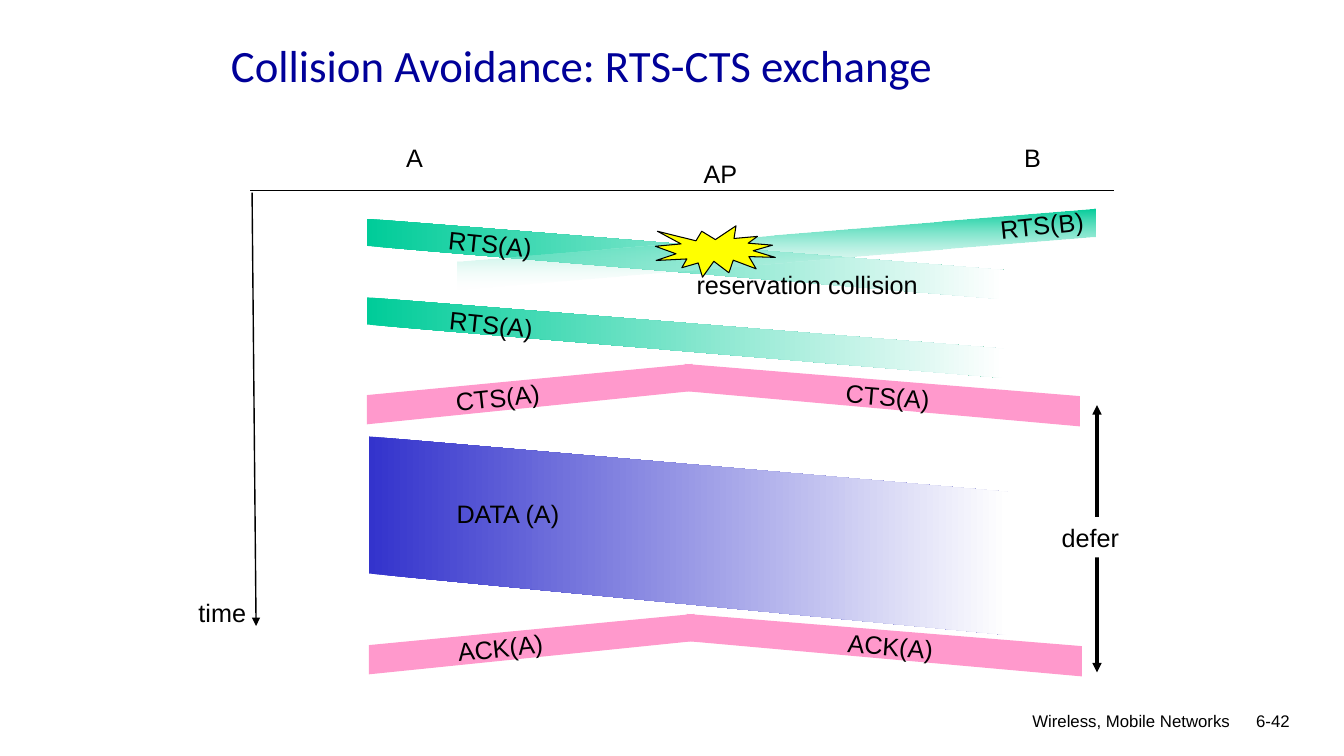
from pptx import Presentation
from pptx.dml.color import RGBColor
from pptx.enum.shapes import MSO_CONNECTOR, MSO_SHAPE
from pptx.enum.text import MSO_ANCHOR, PP_ALIGN
from pptx.oxml.ns import qn
from pptx.util import Inches, Pt
from lxml import etree

LEFT, RIGHT = PP_ALIGN.LEFT, PP_ALIGN.RIGHT
MIDDLE, TOP = MSO_ANCHOR.MIDDLE, MSO_ANCHOR.TOP
STRAIGHT = MSO_CONNECTOR.STRAIGHT
BURST, RECT = MSO_SHAPE.EXPLOSION1, MSO_SHAPE.RECTANGLE

COLORS = {
    "title": "000099", "ink": "000000", "paper": "FFFFFF", "rts": "00CC99",
    "reply": "FF99CC", "data": "3333CC", "burst": "FFFF00",
}


def rgb(name):
    return RGBColor.from_string(COLORS[name])


class Diagram:
    """Holds the text style and the slide being drawn."""
    font, size = "Arial", 18

    def __init__(self, slide):
        self.s = slide

    def set_text(self, shape, text, size=None, font=None, color="ink",
                 align=LEFT, anchor=TOP, wrap=False):
        tf = shape.text_frame
        tf.word_wrap = wrap
        tf.vertical_anchor = anchor
        p = tf.paragraphs[0]
        p.text = text
        p.alignment = align
        p.font.name = font or self.font
        p.font.size = Pt(size or self.size)
        p.font.color.rgb = rgb(color)

    def title(self, text, x, y, w, h):
        sp = self.s.shapes.title
        sp.left, sp.top, sp.width, sp.height = map(Inches, (x, y, w, h))
        self.set_text(sp, text, 32, "Calibri", "title", anchor=MIDDLE, wrap=True)

    def label(self, text, x, y, w, h=0.4, rot=0, **style):
        sp = self.s.shapes.add_textbox(*map(Inches, (x, y, w, h)))
        sp.rotation = rot
        self.set_text(sp, text, **style)

    def shape(self, kind, x, y, w, h, fill, line=None):
        sp = self.s.shapes.add_shape(kind, *map(Inches, (x, y, w, h)))
        sp.shadow.inherit = False
        sp.fill.solid()
        sp.fill.fore_color.rgb = rgb(fill)
        if line:
            sp.line.color.rgb = rgb("ink")
            sp.line.width = Pt(line)
        else:
            sp.line.fill.background()
        return sp

    def band(self, points, fill, angle=None, end_alpha=None):
        """Polygon, solid or (with an angle) fading to white."""
        start, *rest = [tuple(map(Inches, pt)) for pt in points]
        builder = self.s.shapes.build_freeform(*start)
        builder.add_line_segments(rest, close=True)
        sp = builder.convert_to_shape()
        sp.shadow.inherit = False
        sp.line.fill.background()
        if angle is None:
            sp.fill.solid()
            sp.fill.fore_color.rgb = rgb(fill)
            return
        sp.fill.gradient()
        sp.fill.gradient_angle = angle
        for stop, name, pos in zip(sp.fill.gradient_stops, (fill, "paper"), (0, 1)):
            stop.color.rgb = rgb(name)
            stop.position = pos
        if end_alpha is not None:
            end = list(sp._element.spPr.iter(qn("a:srgbClr")))[-1]
            etree.SubElement(end, qn("a:alpha"), val=str(end_alpha * 1000))

    def line(self, x1, y1, x2, y2, width, ends=()):
        c = self.s.shapes.add_connector(STRAIGHT, *map(Inches, (x1, y1, x2, y2)))
        c.line.color.rgb = rgb("ink")
        c.line.width = Pt(width)
        ln = c._element.spPr.find(qn("a:ln"))
        for end in ends:
            etree.SubElement(ln, qn(f"a:{end}"), type="triangle")
        etree.SubElement(c._element.spPr, qn("a:effectLst"))

    def rts_a(self, y):
        self.band([(3.64, y), (9.96, y + 0.51), (9.96, y + 0.8), (3.64, y + 0.27)],
                  "rts", angle=0)

    def reply(self, name, x, y):
        """Frame sent by the AP towards both stations; x is A's edge."""
        self.band([(x + 3.15, y), (x + 7.07, y + 0.32), (x + 7.07, y + 0.62),
                   (x + 3.15, y + 0.27)], "reply")
        self.band([(x + 3.23, y), (x, y + 0.31), (x, y + 0.6), (x + 3.23, y + 0.27)],
                  "reply")
        self.label(name, x + 0.78, y + 0.13, 1.06, rot=353.7)
        self.label(name, x + 4.65, y + 0.12, 1.06, rot=4.6)


def main():
    prs = Presentation()
    prs.slide_width, prs.slide_height = Inches(13.33), Inches(7.5)
    s = prs.slides.add_slide(prs.slide_layouts[5])
    d = Diagram(s)

    # Title and footer
    d.title("Collision Avoidance: RTS-CTS exchange", 2.19, 0.13, 8.5, 1.03)
    d.label("Wireless, Mobile Networks", 6.67, 7, 5.63, 0.35, size=12, align=RIGHT, wrap=True)
    d.label("6-42", 11.9, 7, 0.99, 0.35, size=12, align=RIGHT, wrap=True)

    # Stations and time axis
    d.label("AP", 6.88, 1.52, 0.54)
    d.label("A", 3.93, 1.36, 0.38)
    d.label("B", 10.06, 1.36, 0.37)
    d.line(2.5, 1.91, 2.54, 6.21, 1, ["tailEnd"])
    d.label("time", 1.87, 5.88, 0.68)
    d.line(2.48, 1.89, 11.05, 1.89, 0.75)

    # Colliding reservations
    d.rts_a(2.17)
    d.band([(10.86, 2.07), (4.54, 2.59), (4.54, 2.87), (10.86, 2.35)],
           "rts", angle=270, end_alpha=6)
    d.label("RTS(A)", 4.35, 2.22, 1.07, rot=5.9)
    d.label("RTS(B)", 9.82, 2.03, 1.04, rot=354.1)

    # Successful reservation
    d.rts_a(2.95)
    d.label("RTS(A)", 4.36, 3.02, 1.07, rot=5.9)
    d.reply("CTS(A)", 3.64, 3.61)

    # Data and acknowledgement
    d.band([(3.66, 4.33), (10, 4.88), (10, 6.3), (3.66, 5.69)], "data", angle=0)
    d.label("DATA (A)", 4.43, 4.89, 1.97, wrap=True)
    d.reply("ACK(A)", 3.66, 6.09)

    # Collision mark
    d.shape(BURST, 6.5, 2.24, 1.19, 0.51, "burst", line=0.75)
    d.label("reservation collision", 6.81, 2.62, 3.09, wrap=True)

    # Defer interval
    d.line(10.88, 4.02, 10.88, 6.67, 2.25, ["headEnd", "tailEnd"])
    d.set_text(d.shape(RECT, 10.43, 5.13, 0.78, 0.4, "paper"), "defer", anchor=MIDDLE)

    prs.save("out.pptx")


if __name__ == "__main__":
    main()
